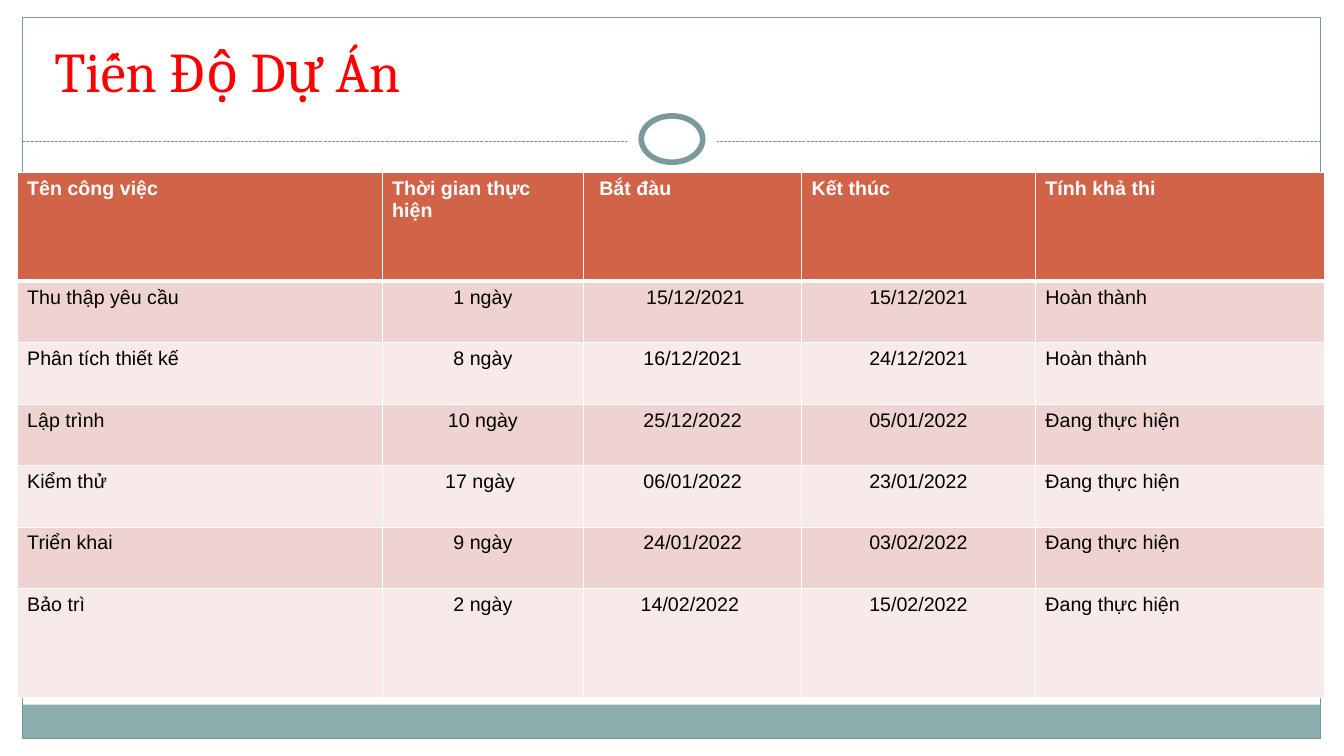
from dataclasses import dataclass

from lxml import etree
from pptx import Presentation
from pptx import util as u
from pptx.dml.color import RGBColor
from pptx.enum import dml, shapes, text
from pptx.oxml.ns import qn


@dataclass(frozen=True)
class Theme:
    white: str = "FFFFFF"
    black: str = "000000"
    red: str = "FF0000"
    slate: str = "7C999A"
    teal: str = "8CADAE"
    head: str = "D16349"
    bands: tuple[str, str] = ("EED3D0", "F7EAE9")
    serif: str = "Cambria"
    sans: str = "Arial"
    title: int = 40
    body: int = 14


@dataclass(frozen=True)
class Box:
    kind: shapes.MSO_SHAPE
    left: float
    top: float
    width: float
    height: float
    fill: str | None = None
    line: str | None = None
    weight: float = 0.75


@dataclass(frozen=True)
class Task:
    name: str
    time: str
    start: str
    end: str
    state: str

    def cells(self) -> list[str]:
        return [self.name, self.time, self.start, self.end, self.state]


T = Theme()
RECT, OVAL = shapes.MSO_SHAPE.RECTANGLE, shapes.MSO_SHAPE.OVAL
LEFT, MID = text.PP_ALIGN.LEFT, text.PP_ALIGN.CENTER

FOOTER = Box(RECT, 0.22, 6.99, 12.88, 0.34, fill=T.teal)
FRAME = Box(RECT, 0.22, 0.17, 12.88, 7.16, line=T.slate)
HALO = Box(OVAL, 6.22, 1.05, 0.89, 0.67, fill=T.white)
RING = Box(OVAL, 6.36, 1.15, 0.61, 0.46, fill=T.white, line=T.slate, weight=4)

COLS = [3.62, 2, 2.16, 2.32, 2.87]
ROWS = [1.08] + [0.61] * 5 + [1.08]
ALIGNS = [LEFT, MID, MID, MID, LEFT]
HEAD = Task("Tên công việc", "Thời gian thực hiện", " Bắt đàu", "Kết thúc", "Tính khả thi")
DONE, BUSY = "Hoàn thành", "Đang thực hiện"
TASKS = [
    Task("Thu thập yêu cầu", " 1 ngày ", " 15/12/2021", "15/12/2021", DONE),
    Task("Phân tích thiết kế", "8 ngày", "16/12/2021", "24/12/2021", DONE),
    Task("Lập trình", "10 ngày", "25/12/2022", "05/01/2022", BUSY),
    Task("Kiểm thử", "17 ngày ", "06/01/2022", "23/01/2022", BUSY),
    Task("Triển khai", "9 ngày", "24/01/2022", "03/02/2022", BUSY),
    Task("Bảo trì", "2 ngày", "14/02/2022 ", "15/02/2022", BUSY),
]


def rgb(code: str) -> RGBColor:
    return RGBColor.from_string(code)


def write(frame, words: str, *, font: str = T.sans, size: int = T.body,
          color: str = T.black, bold: bool = False, align=LEFT) -> None:
    para = frame.paragraphs[0]
    para.alignment = align
    run = para.add_run()
    run.text = words
    run.font.name, run.font.size, run.font.bold = font, u.Pt(size), bold
    run.font.color.rgb = rgb(color)


def draw(slide, box: Box) -> None:
    shape = slide.shapes.add_shape(box.kind, u.Inches(box.left), u.Inches(box.top),
                                   u.Inches(box.width), u.Inches(box.height))
    shape.shadow.inherit = False
    if box.fill:
        shape.fill.solid()
        shape.fill.fore_color.rgb = rgb(box.fill)
    else:
        shape.fill.background()
    if box.line:
        shape.line.color.rgb = rgb(box.line)
        shape.line.width = u.Pt(box.weight)
    else:
        shape.line.fill.background()


def rule(slide) -> None:
    y = u.Inches(1.4)
    line = slide.shapes.add_connector(shapes.MSO_CONNECTOR.STRAIGHT,
                                      u.Inches(0.22), y, u.Inches(13.1), y)
    line.line.color.rgb = rgb(T.slate)
    line.line.width = u.Pt(0.75)
    line.line.dash_style = dml.MSO_LINE.SQUARE_DOT
    etree.SubElement(line._element.spPr, qn("a:effectLst"))


def edge(cell, **widths: float) -> None:
    """Draw white cell borders; sides are L, R, T and B, widths in points."""
    props = cell._tc.get_or_add_tcPr()
    for side, width in widths.items():
        line = etree.SubElement(props, qn(f"a:ln{side}"), w=str(u.Pt(width)))
        fill = etree.SubElement(line, qn("a:solidFill"))
        etree.SubElement(fill, qn("a:srgbClr"), val=T.white)


def plan(slide) -> None:
    table = slide.shapes.add_table(len(ROWS), len(COLS), u.Inches(0.17), u.Inches(1.71),
                                   u.Inches(sum(COLS)), u.Inches(sum(ROWS))).table
    for col, width in zip(table.columns, COLS):
        col.width = u.Inches(width)
    for row, height in zip(table.rows, ROWS):
        row.height = u.Inches(height)
    for i, task in enumerate([HEAD] + TASKS):
        top = i == 0
        for j, words in enumerate(task.cells()):
            cell = table.cell(i, j)
            edge(cell, L=1, R=1, T=3 if i == 1 else 1, B=3 if top else 1)
            cell.fill.solid()
            cell.fill.fore_color.rgb = rgb(T.head if top else T.bands[(i - 1) % 2])
            write(cell.text_frame, words, color=T.white if top else T.black,
                  bold=top, align=LEFT if top else ALIGNS[j])


def title(slide) -> None:
    box = slide.shapes.add_textbox(u.Inches(0.44), u.Inches(0.25),
                                   u.Inches(12.44), u.Inches(0.83))
    frame = box.text_frame
    frame.word_wrap = True
    frame.vertical_anchor = text.MSO_ANCHOR.BOTTOM
    write(frame, "Tiến Độ Dự Án", font=T.serif, size=T.title, color=T.red)


def main() -> None:
    deck = Presentation()
    deck.slide_width, deck.slide_height = u.Inches(13.33), u.Inches(7.5)
    slide = deck.slides.add_slide(deck.slide_layouts[6])
    draw(slide, FOOTER)
    draw(slide, FRAME)
    rule(slide)
    draw(slide, HALO)
    draw(slide, RING)
    title(slide)
    plan(slide)
    deck.save("out.pptx")


if __name__ == "__main__":
    main()
